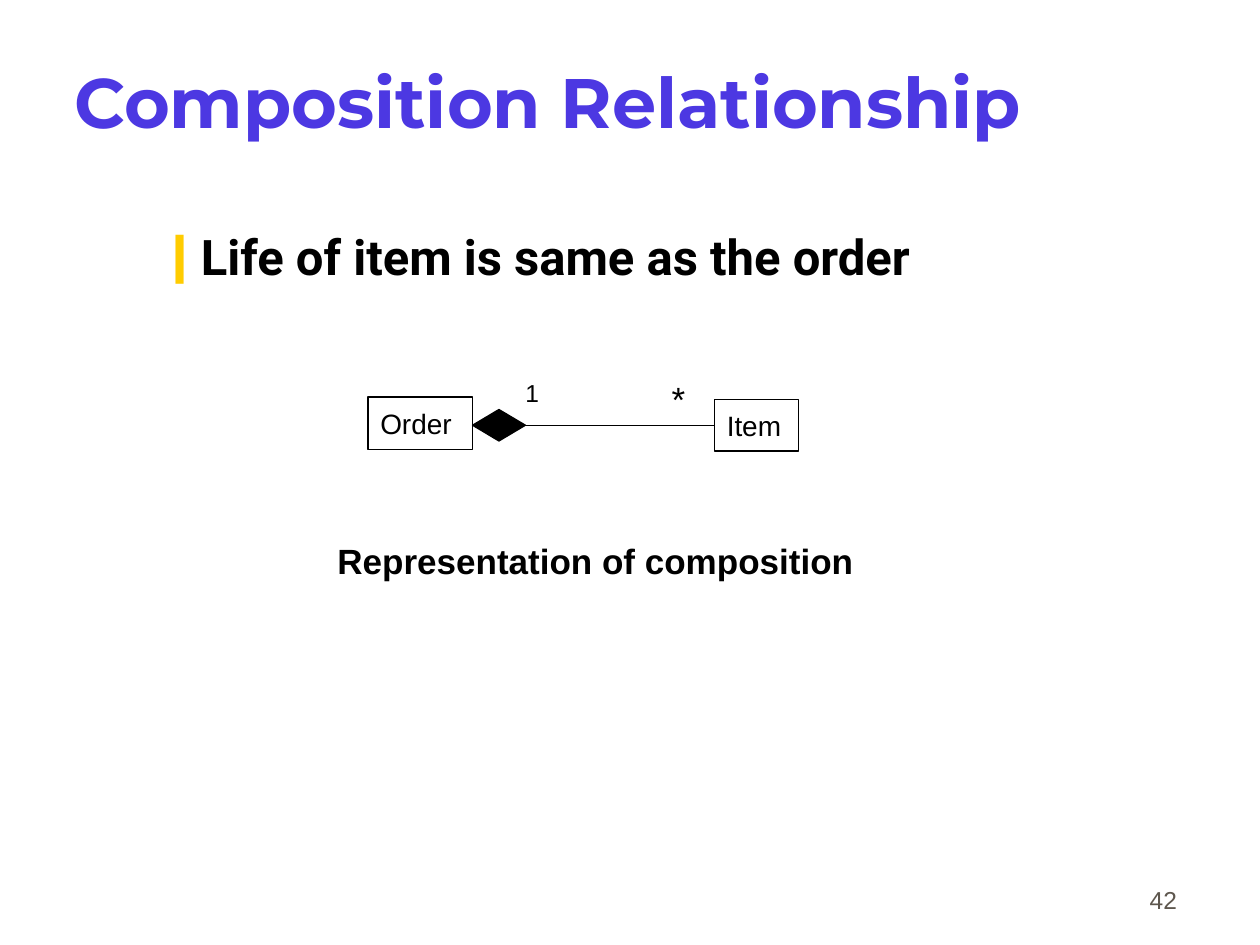
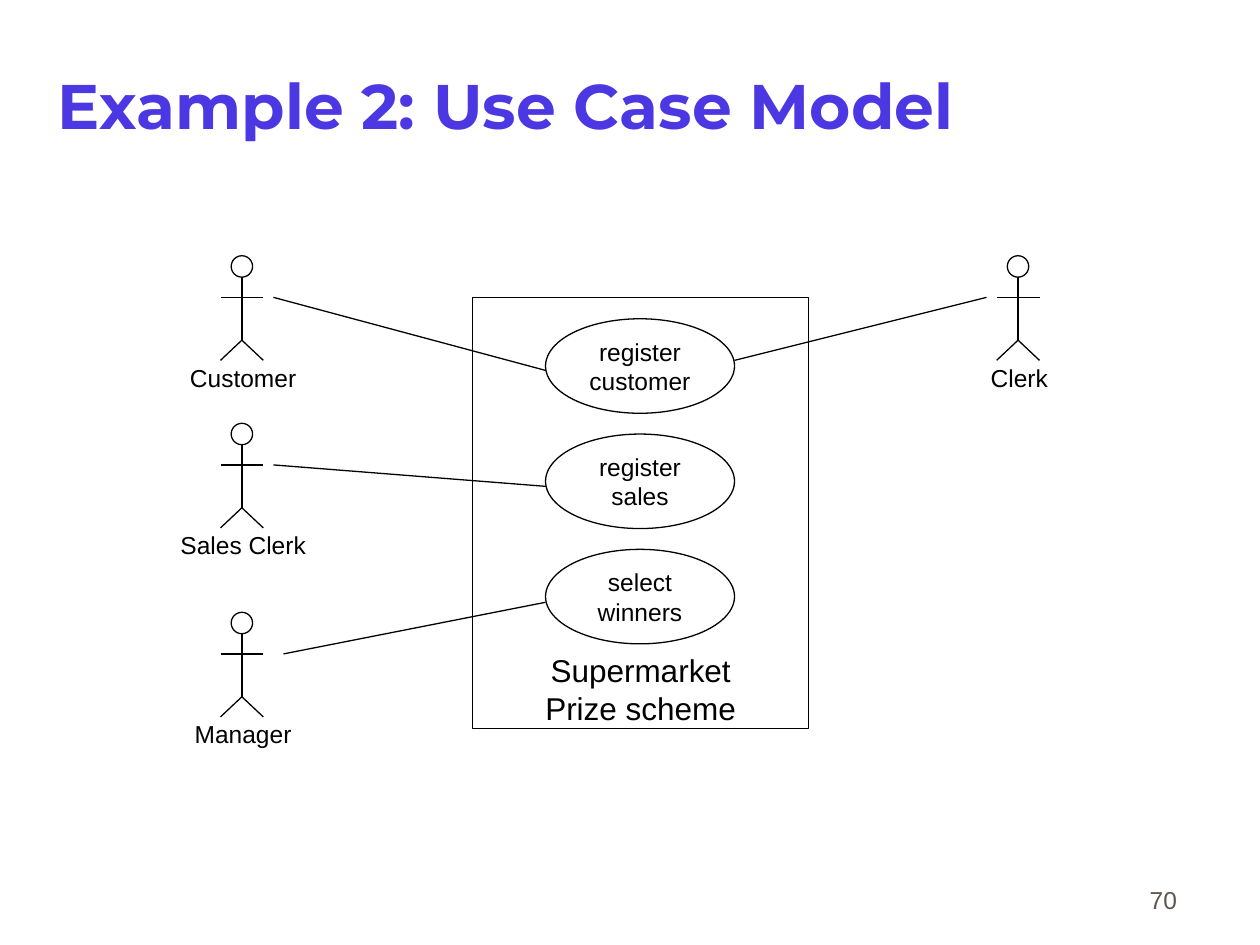
from pptx import Presentation
from pptx.dml.color import RGBColor as RGB
from pptx.enum.shapes import MSO_CONNECTOR as Conn, MSO_SHAPE as Form
from pptx.enum.text import MSO_ANCHOR as Anchor, PP_ALIGN as Align
from pptx.oxml import parse_xml
from pptx.oxml.ns import nsdecls
from pptx.util import Inches, Pt
from lxml import etree

BLACK = RGB(0, 0, 0)
BLUE = RGB(0x4C, 0x38, 0xE2)
GREY = RGB(0x5E, 0x57, 0x4E)
GOLD = RGB(0xFF, 0xCC, 0x00)


def put(host, text, x, y, w, h, form=None, fill=None, size=14, font="Arial",
        color=BLACK, bold=False, align=Align.LEFT, anchor=Anchor.TOP,
        pad=(0.1, 0.05), wrap=False, before=0):
    box = Inches(x), Inches(y), Inches(w), Inches(h)
    if form is None:
        item = host.add_textbox(*box)
    else:
        item = host.add_shape(form, *box)
        item.shadow.inherit = False
        item.line.color.rgb = BLACK
        item.line.width = Pt(0.75)
        if fill is None:
            item.fill.background()
        else:
            item.fill.solid()
            item.fill.fore_color.rgb = fill
    frame = item.text_frame
    frame.word_wrap = wrap
    frame.vertical_anchor = anchor
    frame.margin_left = frame.margin_right = Inches(pad[0])
    frame.margin_top = frame.margin_bottom = Inches(pad[1])
    frame.text = text
    for para in frame.paragraphs:
        para.alignment = align
        para.space_before = Pt(before)
        for run in para.runs:
            run.font.size = Pt(size)
            run.font.name = font
            run.font.bold = bold
            run.font.color.rgb = color
    return item


def link(host, x1, y1, x2, y2):
    line = host.add_connector(Conn.STRAIGHT, Inches(x1), Inches(y1), Inches(x2), Inches(y2))
    line.line.color.rgb = BLACK
    line.line.width = Pt(0.75)
    line._element.spPr.append(parse_xml(f"<a:effectLst {nsdecls('a')}/>"))
    return line


deck = Presentation()
deck.slide_width, deck.slide_height = Inches(10), Inches(7.5)

pages = []
for title, x, y, h, size, lead, num in [
    ("Composition Relationship", 0.57, 0.17, 1.25, 40, 13.6, "42"),
    ("Example 2: Use Case Model", 0.44, 0.18, 1.29, 36, 8.1, "70"),
]:
    page = deck.slides.add_slide(deck.slide_layouts[6]).shapes
    put(page, num, 7.36, 6.81, 2.08, 0.5, color=GREY, align=Align.RIGHT,
        anchor=Anchor.BOTTOM, wrap=True, before=8.8)
    put(page, title, x, y, 8.5, h, size=size, font="Montserrat", color=BLUE,
        bold=True, anchor=Anchor.MIDDLE, pad=(0.02, 0.05), wrap=True, before=lead)
    pages.append(page)
first, second = pages

point = put(first, "Life of item is same as the order", 0.75, 1.75, 8.5, 0.83, size=28,
            font="Roboto", bold=True, pad=(0.02, 0.05), wrap=True, before=7.1)
props = point.text_frame.paragraphs[0]._p.get_or_add_pPr()
props.set("marL", str(Inches(0.81)))
props.set("indent", str(Inches(-0.31)))
mark = etree.fromstring(
    f'<a:r {nsdecls("a")}><a:buClr><a:srgbClr val="{GOLD}"/></a:buClr>'
    '<a:buFont typeface="Arial"/><a:buChar char="❙"/></a:r>')
props.extend(list(mark))

put(first, "Representation of composition", 2.58, 4.23, 4.3, 0.44, size=20, bold=True)
graph = first.add_group_shape().shapes
put(graph, "Order", 2.92, 3.15, 0.83, 0.42, form=Form.RECTANGLE, size=16, anchor=Anchor.MIDDLE)
part = put(graph, "Item", 5.67, 3.17, 0.67, 0.41, form=Form.RECTANGLE, size=16,
           anchor=Anchor.MIDDLE)
gem = put(graph, "", 3.75, 3.25, 0.42, 0.25, form=Form.FLOWCHART_DECISION, fill=BLACK)
put(graph, "1", 4.17, 3, 0.11, 0.23, pad=(0, 0))
put(graph, "*", 5.33, 3, 0.11, 0.33, size=20, pad=(0, 0))
bond = link(graph, 4.17, 3.38, 5.67, 3.38)
bond.begin_connect(gem, 3)
bond.end_connect(part, 1)

put(second, "Supermarket\nPrize scheme", 3.75, 2.36, 2.67, 3.42, form=Form.RECTANGLE,
    size=18, align=Align.CENTER, anchor=Anchor.BOTTOM, pad=(0.1, 0.01))

for row, case in enumerate(["register\ncustomer", "register\nsales", "select\nwinners"]):
    put(second, case, 4.33, 2.53 + row * 0.915, 1.5, 0.75, form=Form.OVAL,
        align=Align.CENTER, anchor=Anchor.MIDDLE)

for name, mid, top, wide in [
    ("Customer", 1.92, 2.03, 1.04),
    ("Sales Clerk", 1.92, 3.36, 1.19),
    ("Manager", 1.92, 4.86, 0.97),
    ("Clerk", 8.08, 2.03, 0.65),
]:
    actor = second.add_group_shape().shapes
    arm, hip, foot = top + 0.33, top + 0.67, top + 0.83
    put(actor, "", mid - 0.085, top, 0.17, 0.17, form=Form.OVAL)
    link(actor, mid, top + 0.17, mid, hip)
    link(actor, mid - 0.17, arm, mid + 0.17, arm)
    for side in (-0.17, 0.17):
        link(actor, mid, hip, mid + side, foot)
    put(second, name, mid + 0.01 - wide / 2, top + 0.8, wide, 0.34, align=Align.CENTER,
        pad=(0, 0.05))

for ends in [
    (4.33, 2.94, 2.17, 2.36),
    (4.33, 3.86, 2.17, 3.69),
    (4.33, 4.78, 2.25, 5.19),
    (5.83, 2.86, 7.83, 2.36),
]:
    link(second, *ends)

deck.save("out.pptx")
